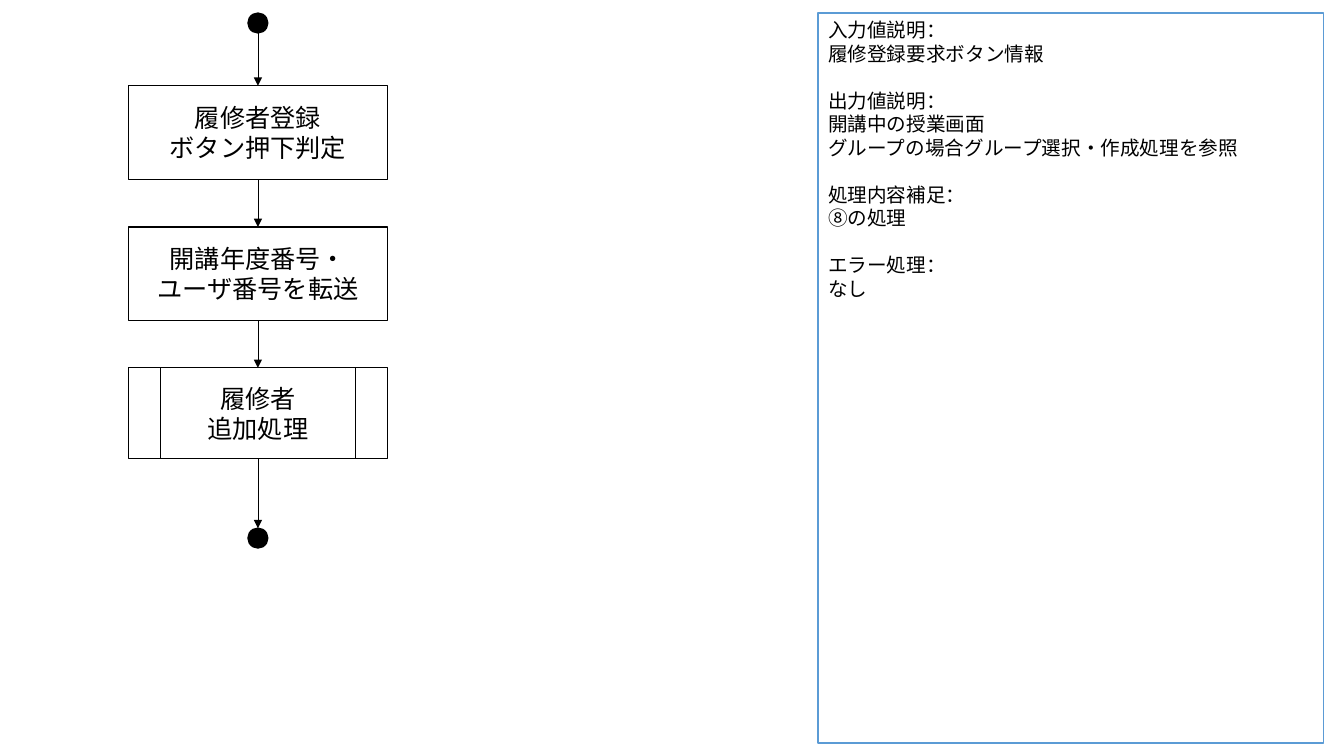
from dataclasses import dataclass
from itertools import pairwise

from lxml.etree import SubElement
from pptx import Presentation
from pptx.dml.color import RGBColor
from pptx.enum.shapes import MSO_CONNECTOR, MSO_SHAPE
from pptx.enum.text import MSO_ANCHOR, PP_ALIGN
from pptx.oxml.ns import qn
from pptx.shapes.autoshape import Shape
from pptx.slide import Slide
from pptx.util import Cm, Pt

COLORS = {"black": "000000", "white": "FFFFFF", "blue": "5B9BD5"}
FONT = "Calibri"
FLOW_X = 6.5  # centre line of the flow, cm
NOTE_GAP = 16.8  # one line of note text, pt


@dataclass
class Node:
    """A flow step centred on FLOW_X; lengths in cm."""
    kind: MSO_SHAPE
    top: float
    width: float
    height: float
    lines: tuple[str, ...] = ()
    fill: str | None = "white"
    line_width: float = 1

    @property
    def bottom(self) -> float:
        return self.top + self.height


NODES = [
    Node(MSO_SHAPE.OVAL, 0.33, 0.5, 0.5, fill="black"),
    Node(MSO_SHAPE.FLOWCHART_PROCESS, 2.16, 6.53, 2.36,
         ("履修者登録", "ボタン押下判定")),
    Node(MSO_SHAPE.FLOWCHART_PROCESS, 5.72, 6.53, 2.36,
         ("開講年度番号・", "ユーザ番号を転送")),
    Node(MSO_SHAPE.FLOWCHART_PREDEFINED_PROCESS, 9.27, 6.53, 2.29,
         ("履修者", "追加処理"), fill=None, line_width=0.5),
    Node(MSO_SHAPE.OVAL, 13.31, 0.5, 0.5, fill="black"),
]

NOTES = [
    ("入力値説明：", "履修登録要求ボタン情報"),
    ("出力値説明：", "開講中の授業画面", "グループの場合グループ選択・作成処理を参照"),
    ("処理内容補足：", "⑧の処理"),
    ("エラー処理：", "なし"),
]


def rgb(name: str) -> RGBColor:
    return RGBColor.from_string(COLORS[name])


def add_box(s: Slide, kind: MSO_SHAPE, left: float, top: float, width: float,
            height: float, fill: str | None, line: str, line_width: float) -> Shape:
    sp = s.shapes.add_shape(kind, Cm(left), Cm(top), Cm(width), Cm(height))
    sp.shadow.inherit = False
    if fill:
        sp.fill.solid()
        sp.fill.fore_color.rgb = rgb(fill)
    else:
        sp.fill.background()
    sp.line.color.rgb = rgb(line)
    sp.line.width = Pt(line_width)
    return sp


def write_lines(sp: Shape, lines: tuple[str, ...], size: int,
                align: PP_ALIGN, anchor: MSO_ANCHOR) -> None:
    tf = sp.text_frame
    tf.word_wrap = True
    tf.vertical_anchor = anchor
    tf.text = "\n".join(lines)
    for p in tf.paragraphs:
        p.alignment = align
        for r in p.runs:
            r.font.name = FONT
            r.font.size = Pt(size)
            r.font.color.rgb = rgb("black")


def add_node(s: Slide, node: Node) -> None:
    sp = add_box(s, node.kind, FLOW_X - node.width / 2, node.top, node.width,
                 node.height, node.fill, "black", node.line_width)
    if node.lines:
        write_lines(sp, node.lines, 18, PP_ALIGN.CENTER, MSO_ANCHOR.MIDDLE)


def add_arrow(s: Slide, start: float, end: float) -> None:
    """Draw a downward arrow on the flow's centre line."""
    cn = s.shapes.add_connector(MSO_CONNECTOR.STRAIGHT, Cm(FLOW_X), Cm(start),
                                Cm(FLOW_X), Cm(end))
    cn.line.color.rgb = rgb("black")
    cn.line.width = Pt(0.5)
    SubElement(cn.line._get_or_add_ln(), qn("a:tailEnd"), type="triangle")
    SubElement(cn._element.spPr, qn("a:effectLst"))


def add_notes_panel(s: Slide) -> None:
    sp = add_box(s, MSO_SHAPE.FLOWCHART_PROCESS, 20.62, 0.33, 12.73, 18.39,
                 "white", "blue", 1)
    lines = tuple(line for section in NOTES for line in section)
    write_lines(sp, lines, 14, PP_ALIGN.LEFT, MSO_ANCHOR.TOP)
    headings = [section[0] for section in NOTES[1:]]
    for p in sp.text_frame.paragraphs:
        if p.text in headings:
            p.space_before = Pt(NOTE_GAP)


def main() -> None:
    prs = Presentation()
    prs.slide_width, prs.slide_height = Cm(33.87), Cm(19.05)
    s = prs.slides.add_slide(prs.slide_layouts[6])
    for node in NODES:
        add_node(s, node)
    for upper, lower in pairwise(NODES):
        add_arrow(s, upper.bottom, lower.top)
    add_notes_panel(s)
    prs.save("out.pptx")


if __name__ == "__main__":
    main()
